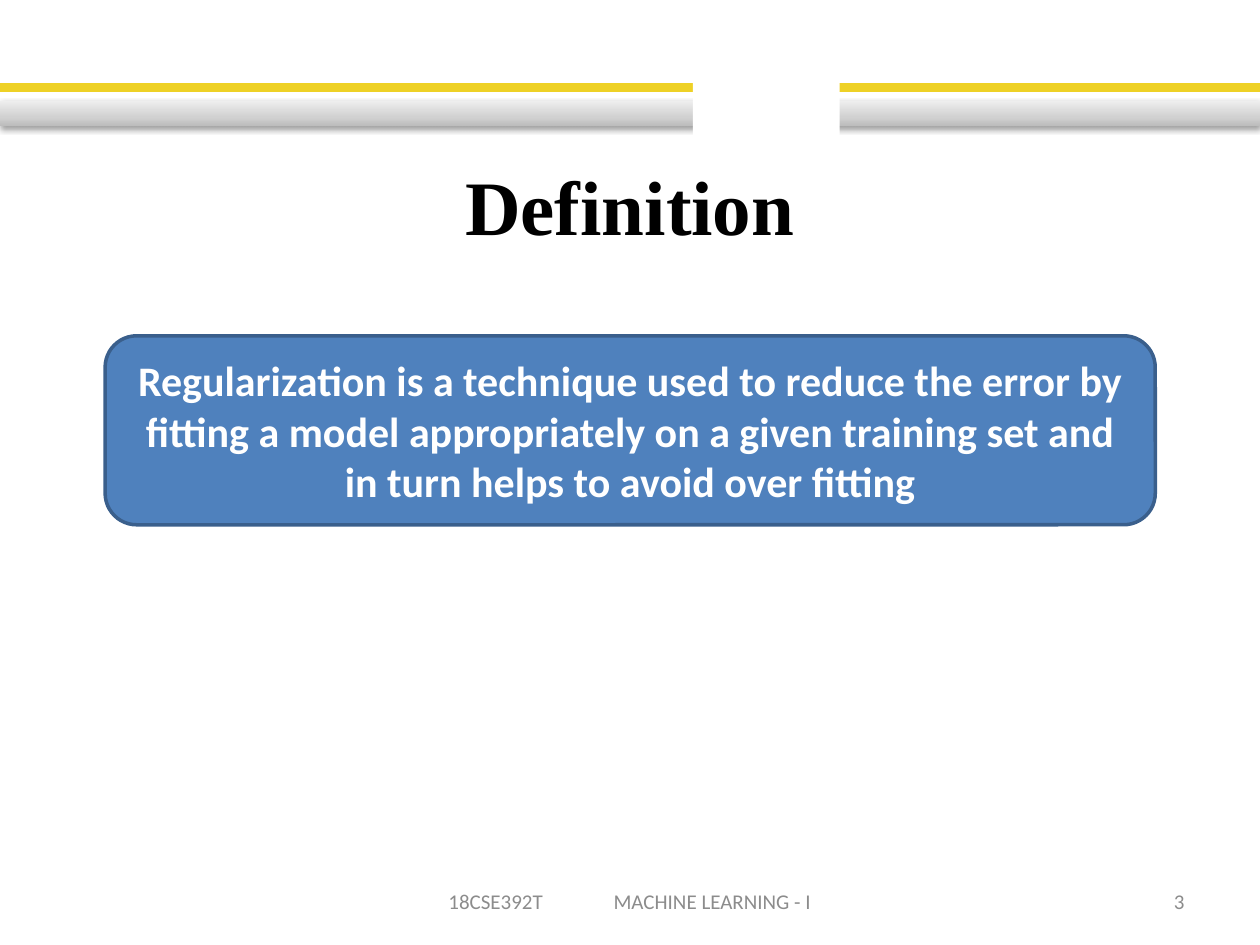
"""Build the Definition slide on regularization."""
from copy import deepcopy

from lxml import etree
from pptx import Presentation
from pptx import util as u
from pptx.dml.color import RGBColor
from pptx.enum import shapes, text
from pptx.oxml.ns import qn

YELLOW = RGBColor(0xEE, 0xD1, 0x26)
WHITE = RGBColor(0xFF, 0xFF, 0xFF)
BLACK = RGBColor(0x00, 0x00, 0x00)
GREY = RGBColor(0x8C, 0x8C, 0x8C)
BLUE = RGBColor(0x4F, 0x81, 0xBD)
DARK_BLUE = RGBColor(0x3A, 0x5F, 0x8C)
SILVER = {0: RGBColor(0xBD, 0xBD, 0xBD),
          0.35: RGBColor(0xD1, 0xD1, 0xD1),
          1: RGBColor(0xEE, 0xEE, 0xEE)}
RECT = shapes.MSO_SHAPE.RECTANGLE
ROUNDED = shapes.MSO_SHAPE.ROUNDED_RECTANGLE
ALIGN = text.PP_ALIGN


class Deck:
    """Hold the style and the current slide."""

    heading_font = "Times New Roman"
    body_font = "Calibri"

    def __init__(self):
        self.prs = Presentation()
        self.prs.slide_width, self.prs.slide_height = u.Cm(25.4), u.Cm(19.05)
        self.slide = self.prs.slides.add_slide(self.prs.slide_layouts[5])

    def set_words(self, shape, words, font, size, color, bold=False, align=ALIGN.CENTER):
        frame = shape.text_frame
        frame.text = words
        frame.word_wrap = True
        frame.vertical_anchor = text.MSO_ANCHOR.MIDDLE
        paragraph = frame.paragraphs[0]
        paragraph.alignment = align
        for run in paragraph.runs:
            run.font.name, run.font.size = font, u.Pt(size)
            run.font.bold, run.font.color.rgb = bold, color

    def title(self, words, *box):
        heading = self.slide.shapes.title
        heading.left, heading.top, heading.width, heading.height = map(u.Cm, box)
        self.set_words(heading, words, self.heading_font, 44, BLACK, True)

    def block(self, kind, box, fill, line=None):
        block = self.slide.shapes.add_shape(kind, *map(u.Cm, box))
        block.shadow.inherit = False
        block.fill.solid()
        block.fill.fore_color.rgb = fill
        if line is None:
            block.line.fill.background()
        else:
            block.line.color.rgb, block.line.width = line, u.Pt(2)
        return block

    def silver_band(self, *box):
        band = self.block(RECT, box, WHITE)
        band.fill.gradient()
        band.fill.gradient_angle = 90
        properties = band._element.spPr
        stops = properties.find(".//" + qn("a:gsLst"))
        stops.insert(1, deepcopy(stops[0]))
        for stop, (position, color) in zip(band.fill.gradient_stops, SILVER.items()):
            stop.position, stop.color.rgb = position, color
        shadow = etree.SubElement(
            properties.find(qn("a:effectLst")), qn("a:outerShdw"),
            blurRad=str(u.Pt(3.1)), dist=str(u.Pt(1.6)), dir="5400000", rotWithShape="0")
        tint = etree.SubElement(shadow, qn("a:srgbClr"), val="000000")
        etree.SubElement(tint, qn("a:alpha"), val="38000")

    def callout(self, words, *box):
        callout = self.block(ROUNDED, box, BLUE, DARK_BLUE)
        self.set_words(callout, words, self.body_font, 24, WHITE, True)

    def footer(self, words, left, width, align):
        footer = self.slide.shapes.add_textbox(*map(u.Cm, (left, 17.65, width, 1.02)))
        self.set_words(footer, words, self.body_font, 12, GREY, align=align)
        return footer

    def course_footer(self, code, course, left, width, inset, tab):
        footer = self.footer(f"{code}\t{course}", left, width, ALIGN.LEFT)
        footer.text_frame.margin_left = u.Cm(inset)
        properties = footer.text_frame.paragraphs[0]._p.get_or_add_pPr()
        tabs = etree.SubElement(properties, qn("a:tabLst"))
        etree.SubElement(tabs, qn("a:tab"), pos=str(u.Cm(tab)), algn="l")


def main():
    deck = Deck()
    deck.block(RECT, (0, 1.7, 25.4, 0.13), YELLOW, YELLOW)
    deck.silver_band(0, 2.03, 25.4, 0.51)
    deck.block(RECT, (13.97, 1.27, 2.96, 1.69), WHITE)
    deck.title("Definition", 1.27, 2.54, 22.86, 3.18)
    deck.course_footer("18CSE392T", "MACHINE LEARNING - I", 8.68, 8.04, 0.36, 3.33)
    deck.footer("3", 18.2, 5.93, ALIGN.RIGHT)
    deck.callout("Regularization is a technique used to reduce the error by fitting "
                 "a model appropriately on a given training set and in turn helps "
                 "to avoid over fitting", 2.12, 6.77, 21.17, 3.81)
    deck.prs.save("out.pptx")


if __name__ == "__main__":
    main()
